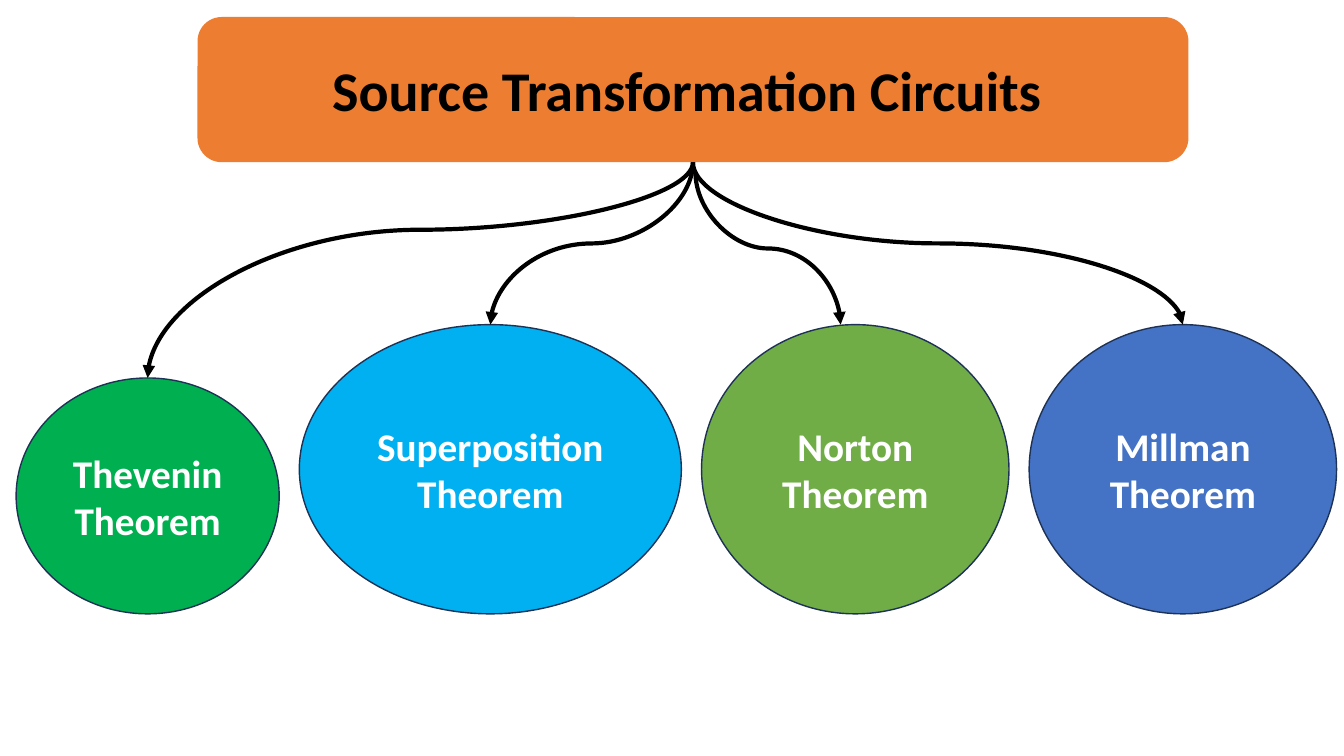
from lxml import etree
from pptx import Presentation
from pptx.dml.color import RGBColor
from pptx.enum.shapes import MSO_CONNECTOR, MSO_SHAPE
from pptx.enum.text import MSO_ANCHOR, PP_ALIGN
from pptx.oxml.ns import qn
from pptx.util import Pt

CURVE = MSO_CONNECTOR.CURVE
ELLIPSE = MSO_SHAPE.OVAL
ROUND_RECT = MSO_SHAPE.ROUNDED_RECTANGLE
MIDDLE = MSO_ANCHOR.MIDDLE
CENTER = PP_ALIGN.CENTER

COLORS = {
    "title": "ED7D31",
    "thevenin": "00B050",
    "superposition": "00B0F0",
    "norton": "70AD47",
    "millman": "4472C4",
    "outline": "1E3256",
    "black": "000000",
    "white": "FFFFFF",
}
FONT = "Calibri"

TITLE_BOX = (141.1, 12.2, 707.8, 103.7)
ROW_LEFT, ROW_BOTTOM, ROW_GAP = 11.5, 438.5, 14.4
# text, fill, width, height
THEOREMS = [
    ("Thevenin Theorem", "thevenin", 187.9, 168.5),
    ("Superposition Theorem", "superposition", 272.9, 206.6),
    ("Norton Theorem", "norton", 219.6, 206.6),
    ("Millman Theorem", "millman", 219.6, 206.6),
]


def rgb(name):
    return RGBColor.from_string(COLORS[name])


def add_box(s, kind, box, text, fill, size, color, outline=None):
    sp = s.shapes.add_shape(kind, *map(Pt, box))
    sp.shadow.inherit = False
    sp.fill.solid()
    sp.fill.fore_color.rgb = rgb(fill)
    if outline:
        sp.line.color.rgb = rgb(outline)
        sp.line.width = Pt(1)
    else:
        sp.line.fill.background()
    tf = sp.text_frame
    tf.word_wrap = True
    tf.vertical_anchor = MIDDLE
    p = tf.paragraphs[0]
    p.text = text
    p.alignment = CENTER
    font = p.runs[0].font
    font.name, font.size, font.bold = FONT, Pt(size), True
    font.color.rgb = rgb(color)


def add_curved_arrow(s, start, end, bend=0.5):
    """Draw an arrow that leaves and arrives vertically, turning at the share bend."""
    (x1, y1), (x2, y2) = start, end
    # The preset runs horizontally, so it is laid out sideways and then turned.
    length, spread = y2 - y1, abs(x2 - x1)
    left = (x1 + x2 - length) / 2
    top = (y1 + y2 - spread) / 2
    c = s.shapes.add_connector(
        CURVE, Pt(left), Pt(top), Pt(left + length), Pt(top + spread))
    c.line.color.rgb = rgb("black")
    c.line.width = Pt(3)
    spPr = c._element.spPr
    xfrm = spPr.find(qn("a:xfrm"))
    if x2 < x1:
        xfrm.set("rot", str(90 * 60000))
    else:
        xfrm.set("rot", str(270 * 60000))
        xfrm.set("flipH", "1")
    guides = spPr.find(qn("a:prstGeom")).get_or_add_avLst()
    etree.SubElement(guides, qn("a:gd"), name="adj1",
                     fmla=f"val {round(bend * 100000)}")
    etree.SubElement(spPr.find(qn("a:ln")), qn("a:tailEnd"), type="triangle")
    etree.SubElement(spPr, qn("a:effectLst"))


def main():
    prs = Presentation()
    prs.slide_width, prs.slide_height = Pt(960), Pt(540)
    s = prs.slides.add_slide(prs.slide_layouts[6])

    tops = []
    x = ROW_LEFT
    for text, fill, width, height in THEOREMS:
        y = ROW_BOTTOM - height
        add_box(s, ELLIPSE, (x, y, width, height), text, fill, 28, "white", "outline")
        tops.append((x + width / 2, y))
        x += width + ROW_GAP

    # The trailing space is part of the centred title.
    add_box(s, ROUND_RECT, TITLE_BOX, "Source Transformation Circuits ",
            "title", 40, "black")

    left, top, width, height = TITLE_BOX
    hub = (left + width / 2, top + height)
    thevenin, superposition, norton, millman = tops
    add_curved_arrow(s, hub, thevenin, bend=0.313)
    add_curved_arrow(s, hub, millman)
    add_curved_arrow(s, hub, superposition)
    add_curved_arrow(s, (496.8, 123.1), (600.5, norton[1]))

    prs.save("out.pptx")


if __name__ == "__main__":
    main()
